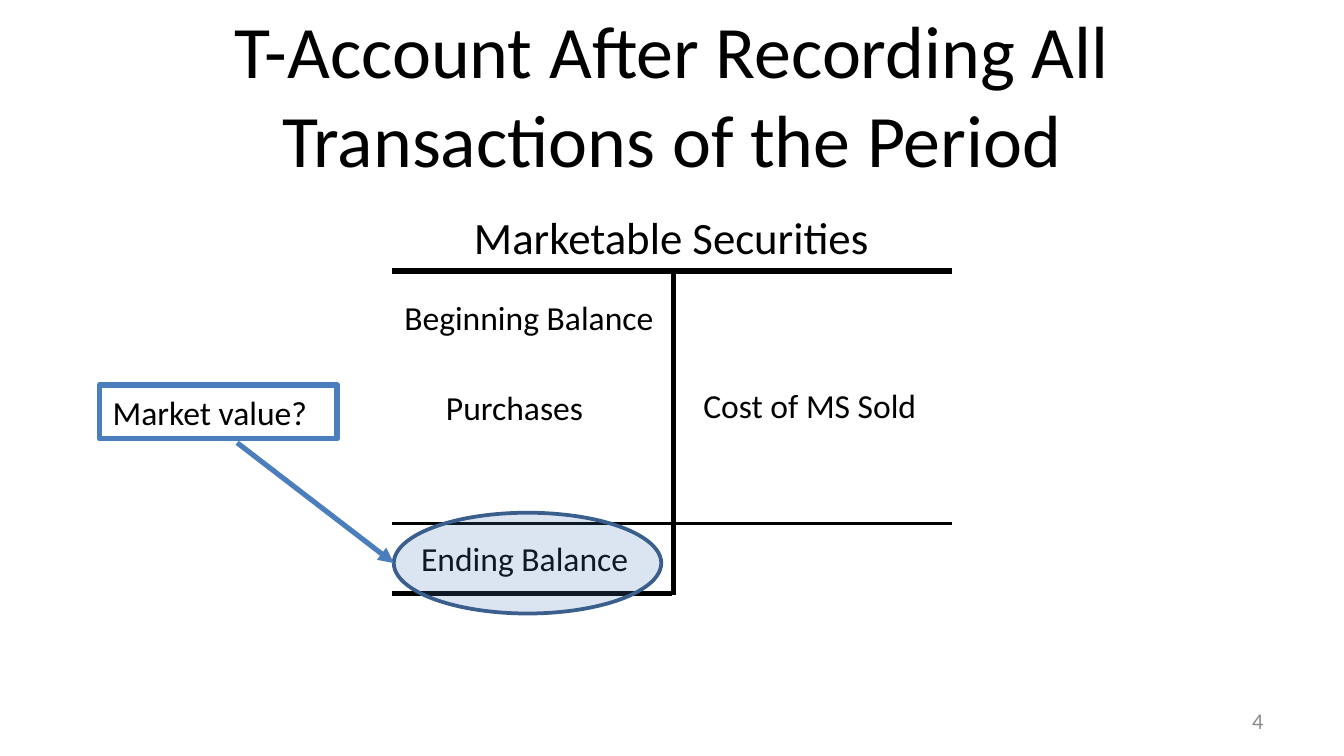
from lxml import etree
from pptx import Presentation
from pptx.dml.color import RGBColor
from pptx.enum.shapes import MSO_CONNECTOR, MSO_SHAPE
from pptx.enum.text import MSO_ANCHOR, PP_ALIGN
from pptx.oxml.ns import qn
from pptx.util import Emu, Pt

LEFT, CENTER, RIGHT = PP_ALIGN.LEFT, PP_ALIGN.CENTER, PP_ALIGN.RIGHT
TOP, MIDDLE = MSO_ANCHOR.TOP, MSO_ANCHOR.MIDDLE
STRAIGHT, OVAL = MSO_CONNECTOR.STRAIGHT, MSO_SHAPE.OVAL

PX = 4572  # 200 px to the inch
SIZE = (2000, 1125)
THEME = {
    "font": "Calibri",
    "ink": "000000", "gray": "8C8C8C", "blue": "4B7EBC",
    "tint": "4F81BD", "rim": "3A5F8C",
    "title": 39.6, "head": 24, "body": 18, "small": 12,
}

# Content: text, box, size, color, alignment, anchor, wrap
TEXTS = [
    ("T-Account After Recording All Transactions of the Period",
     (100, 45, 1800, 188), "title", "ink", CENTER, MIDDLE, True),
    ("4", (1433, 1043, 467, 60), "small", "gray", RIGHT, MIDDLE, True),
    ("Marketable Securities", (582, 302, 834, 100), "head", "ink", CENTER, TOP, True),
]
ENTRIES = [
    ("Beginning Balance", (582, 432, 416, 80)),
    ("Ending Balance", (607, 791, 352, 80)),
    ("Purchases", (644, 566, 246, 80)),
    ("Cost of MS Sold", (1027, 563, 360, 80)),
]
TEXTS += [(text, box, "body", "ink", LEFT, TOP, False) for text, box in ENTRIES]
NOTE = ("Market value?", (148, 573, 354, 80), "body", "ink", LEFT, TOP, True)

# T-account edges: from, to, width in points
WEST, STEM, EAST = 584, 1002, 1416
HEAD, TOTAL, FOOT = 403, 779, 883
RULES = [
    ((WEST, HEAD), (EAST, HEAD), 3),
    ((STEM, HEAD), (STEM, FOOT + 3), 3),
    ((WEST, TOTAL), (EAST, TOTAL), 1.5),
    ((WEST, FOOT), (STEM - 2, FOOT), 3),
]
RING = (586, 763, 398, 150)
ARROW = ((353, 659), (586, 838), 2.75)


def px(vals):
    return [Emu(v * PX) for v in vals]


def rgb(name):
    return RGBColor.from_string(THEME[name])


def stroke(line, color, width):
    line.color.rgb = rgb(color)
    line.width = Pt(width)


def add_text(slide, text, box, size, color, align, anchor, wrap):
    shape = slide.shapes.add_textbox(*px(box))
    frame = shape.text_frame
    frame.text = text
    frame.word_wrap = wrap
    frame.vertical_anchor = anchor
    para = frame.paragraphs[0]
    para.alignment = align
    font = para.runs[0].font
    font.name, font.size = THEME["font"], Pt(THEME[size])
    font.color.rgb = rgb(color)
    return shape


def add_line(slide, start, end, width, color="ink"):
    line = slide.shapes.add_connector(STRAIGHT, *px(start + end))
    stroke(line.line, color, width)
    etree.SubElement(line._element.spPr, qn("a:effectLst"))
    return line


def main():
    deck = Presentation()
    deck.slide_width, deck.slide_height = px(SIZE)
    slide = deck.slides.add_slide(deck.slide_layouts[6])

    # Account rules and labels
    for item in TEXTS:
        add_text(slide, *item)
    for rule in RULES:
        add_line(slide, *rule)

    # Translucent ring around the ending balance
    ring = slide.shapes.add_shape(OVAL, *px(RING))
    ring.shadow.inherit = False
    ring.fill.solid()
    ring.fill.fore_color.rgb = rgb("tint")
    tone = ring._element.spPr.find(qn("a:solidFill"))[0]
    etree.SubElement(tone, qn("a:alpha"), val="20000")
    stroke(ring.line, "rim", 2)

    # Arrow from the market value note
    arrow = add_line(slide, *ARROW, color="blue")
    etree.SubElement(arrow.line._get_or_add_ln(), qn("a:tailEnd"), type="triangle")
    note = add_text(slide, *NOTE)
    stroke(note.line, "blue", 3)

    deck.save("out.pptx")


if __name__ == "__main__":
    main()
